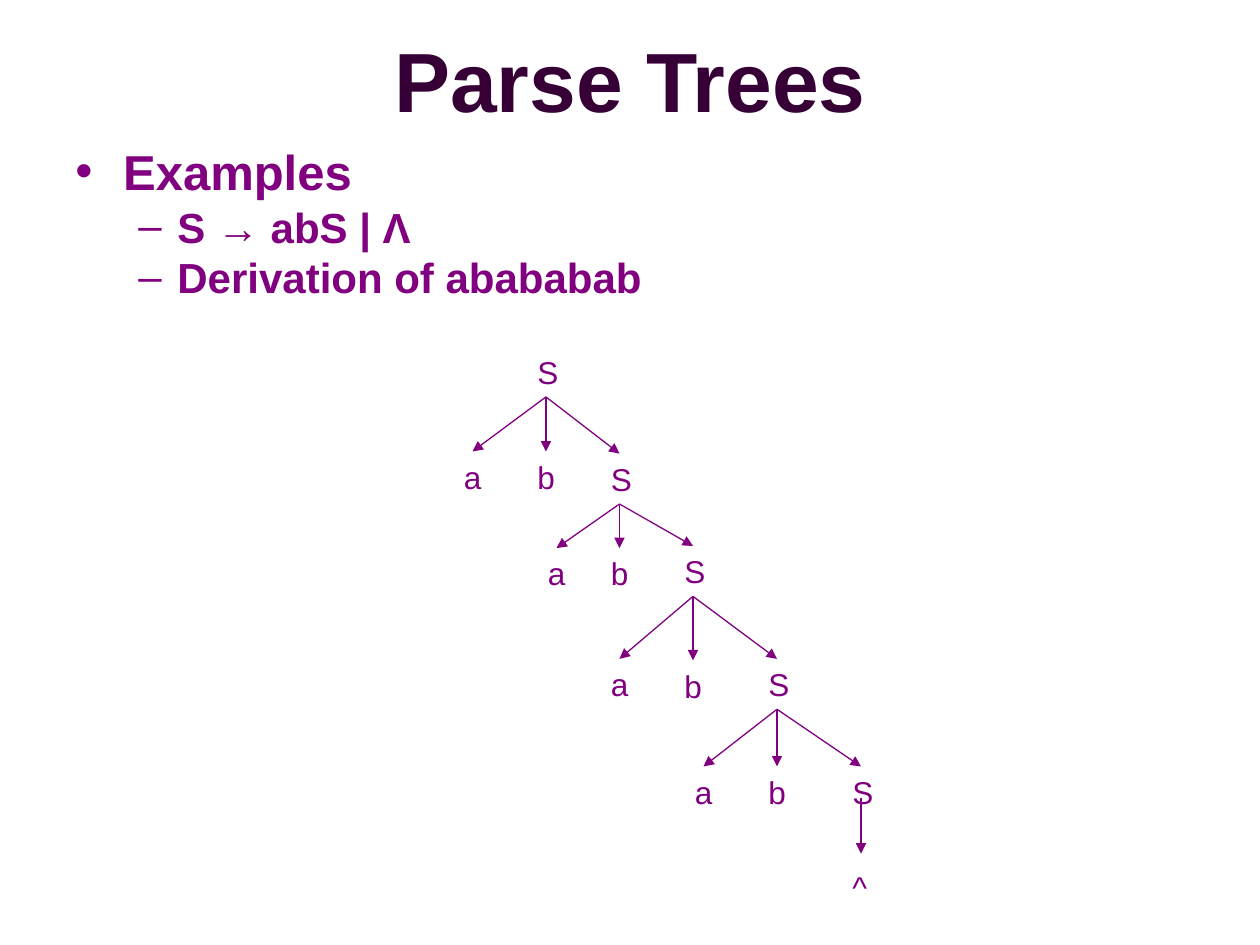
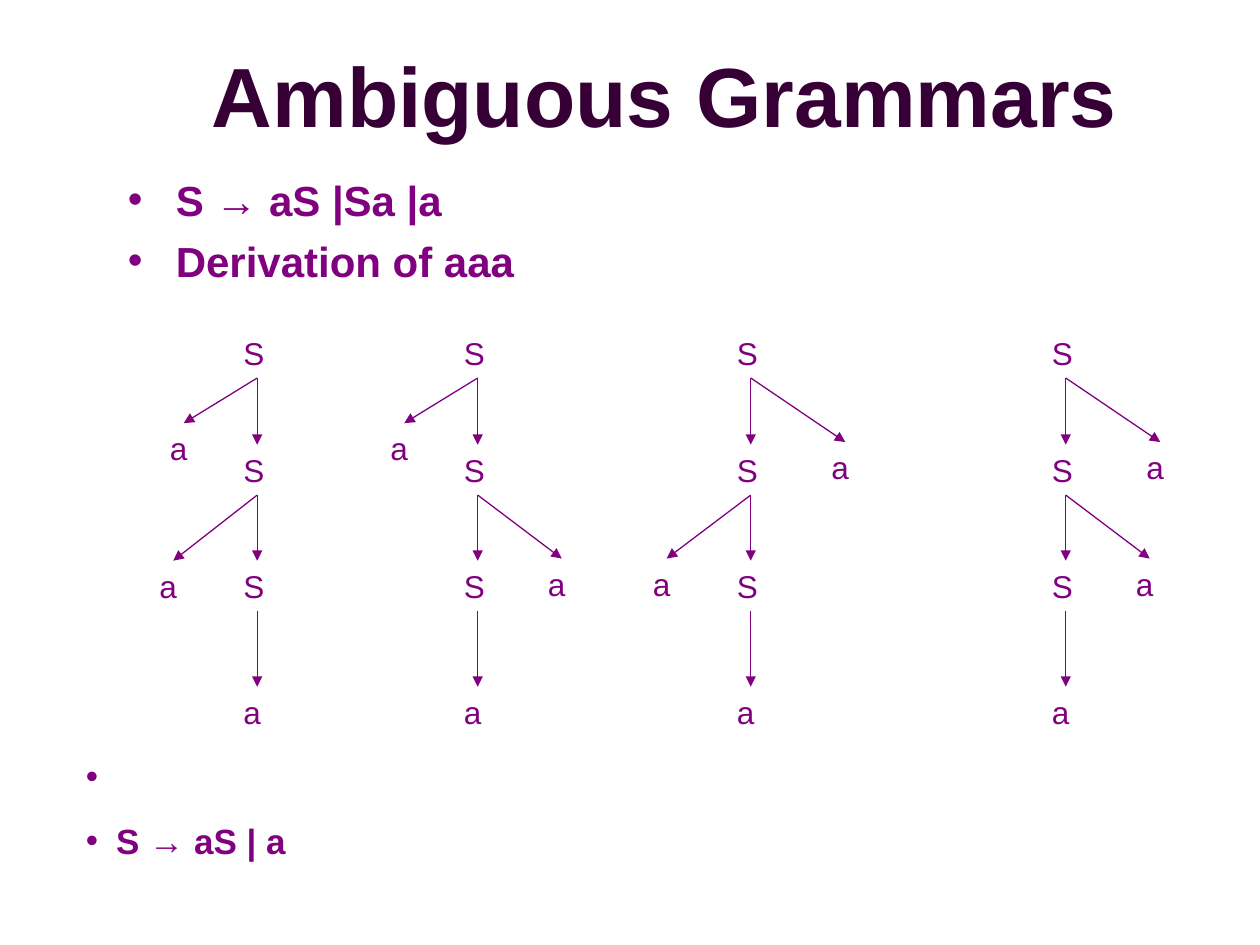
from dataclasses import dataclass

from lxml import etree
from pptx import Presentation
from pptx.dml.color import RGBColor
from pptx.enum.shapes import MSO_CONNECTOR
from pptx.enum.text import MSO_ANCHOR, MSO_AUTO_SIZE, PP_ALIGN
from pptx.oxml.ns import qn
from pptx.util import Inches, Pt

STRAIGHT = MSO_CONNECTOR.STRAIGHT
MIDDLE, TOP = MSO_ANCHOR.MIDDLE, MSO_ANCHOR.TOP
CENTER, LEFT = PP_ALIGN.CENTER, PP_ALIGN.LEFT
NO_FIT = MSO_AUTO_SIZE.NONE
TITLE_ONLY = 5
COLUMNS, ROWS = 120, 90
NODE_HEIGHT = 4.8


@dataclass(frozen=True)
class Theme:
    font: str = "Arial"
    title_color: str = "360036"
    ink: str = "800080"
    title_size: int = 48
    heading_size: int = 28
    body_size: int = 24
    note_size: int = 20
    node_size: int = 18
    edge_width: float = 0.75


@dataclass(frozen=True)
class Bullet:
    text: str
    size: int
    mark: str = "•"
    level: int = 0
    margin: float = 0.38
    hang: float = 0.38
    before: float = 6
    spacing: float = 1.0


@dataclass(frozen=True)
class Node:
    """A tree label; column and row give its top left corner."""
    text: str
    column: float
    row: float
    width: float

    @property
    def middle(self):
        return self.column + self.width / 2

    @property
    def bottom(self):
        return self.row + NODE_HEIGHT


class Page:
    def __init__(self, deck, theme):
        self.deck = deck
        self.theme = theme
        self.slide = deck.slides.add_slide(deck.slide_layouts[TITLE_ONLY])

    def x(self, columns):
        return round(self.deck.slide_width * columns / COLUMNS)

    def y(self, rows):
        return round(self.deck.slide_height * rows / ROWS)

    def area(self, column, row, width, height):
        return self.x(column), self.y(row), self.x(width), self.y(height)

    def span(self, para, text, size, color, bold=False):
        span = para.add_run()
        span.text = text
        span.font.name = self.theme.font
        span.font.size = Pt(size)
        span.font.bold = bold
        span.font.color.rgb = RGBColor.from_string(color)

    def title(self, text, *area):
        box = self.slide.shapes.title
        box.left, box.top, box.width, box.height = self.area(*area)
        frame = box.text_frame
        frame.auto_size = NO_FIT
        frame.vertical_anchor = MIDDLE
        para = frame.paragraphs[0]
        para.alignment = CENTER
        self.span(para, text, self.theme.title_size, self.theme.title_color, True)

    def text_frame(self, *area):
        frame = self.slide.shapes.add_textbox(*self.area(*area)).text_frame
        frame.word_wrap = True
        frame.auto_size = NO_FIT
        frame.vertical_anchor = TOP
        return frame

    def bullets(self, items, *area):
        frame = self.text_frame(*area)
        for index, item in enumerate(items):
            para = frame.add_paragraph() if index else frame.paragraphs[0]
            self.mark(para, item)
            para.level = item.level
            para.alignment = LEFT
            para.line_spacing = item.spacing
            para.space_before = Pt(item.before if index else 0)
            self.span(para, item.text, item.size, self.theme.ink, True)

    def mark(self, para, item):
        properties = para._p.get_or_add_pPr()
        properties.set("marL", str(Inches(item.margin)))
        properties.set("indent", str(-Inches(item.hang)))
        color = etree.SubElement(properties, qn("a:buClr"))
        etree.SubElement(color, qn("a:srgbClr"), val=self.theme.ink)
        etree.SubElement(properties, qn("a:buFont"), typeface=self.theme.font)
        etree.SubElement(properties, qn("a:buChar"), char=item.mark)

    def node(self, text, column, row, width):
        node = Node(text, column, row, width)
        frame = self.text_frame(column, row, width, NODE_HEIGHT)
        self.span(frame.paragraphs[0], text, self.theme.node_size, self.theme.ink)
        return node

    def arrow(self, column, row, end_column, end_row):
        arrow = self.slide.shapes.add_connector(
            STRAIGHT, self.x(column), self.y(row), self.x(end_column), self.y(end_row))
        arrow.line.color.rgb = RGBColor.from_string(self.theme.ink)
        arrow.line.width = Pt(self.theme.edge_width)
        etree.SubElement(arrow.line._get_or_add_ln(), qn("a:tailEnd"), type="triangle")
        etree.SubElement(arrow._element.spPr, qn("a:effectLst"))

    def child(self, parent, text, column, row):
        """Add a node below its parent and the arrow that joins them."""
        child = self.node(text, column, row, parent.width)
        self.arrow(parent.middle, parent.bottom, child.middle, child.row)
        return child


def parse_trees(deck, theme):
    page = Page(deck, theme)
    page.title("Parse Trees", 6, 0, 108, 15)
    dash = {"mark": "–", "level": 1, "margin": 0.81, "hang": 0.31, "spacing": 0.8}
    page.bullets([
        Bullet("Examples", theme.heading_size, spacing=0.8),
        Bullet("S → abS | Λ", theme.body_size, **dash),
        Bullet("Derivation of abababab", theme.body_size, **dash),
    ], 6, 14, 108, 16)

    # Each S yields a, b and the next S: a column, S column, then the three rows
    levels = [
        (43, 57, 43, 43, 43.2),
        (51, 64, 52.2, 52.2, 52),
        (57, 72, 62.75, 62.9, 62.75),
        (65, 80, 73, 73, 73),
    ]
    parent = page.node("S", 50, 33, 4)
    for a_column, s_column, a_row, b_row, s_row in levels:
        page.child(parent, "a", a_column, a_row)
        page.child(parent, "b", parent.column, b_row)
        parent = page.child(parent, "S", s_column, s_row)

    # The last S yields the empty string
    page.arrow(parent.middle, 76, parent.middle, 81.3)
    page.node("^", parent.column, 82.1, parent.width)


def ambiguous_grammars(deck, theme):
    page = Page(deck, theme)
    page.title("Ambiguous Grammars", 14.9, 1.8, 96.8, 14.3)
    page.bullets([
        Bullet("S → aS |Sa |a", theme.body_size),
        Bullet("Derivation of aaa", theme.body_size),
    ], 11, 16, 96.8, 12.1)

    # Four derivations: root column, then the offset and row of each side leaf
    left, right = (-7, 40.3), (9, 42.1)
    trees = [
        (22, left, (-8, 53.4)),
        (43, left, (8, 53.2)),
        (69, right, (-8, 53.2)),
        (99, right, (8, 53.2)),
    ]
    for column, *leaves in trees:
        parent = page.node("S", column, 31.2, 5)
        for (offset, leaf_row), row in zip(leaves, (42.35, 53.4)):
            page.child(parent, "a", column + offset, leaf_row)
            parent = page.child(parent, "S", column, row)
        page.child(parent, "a", column, 65.4)

    # Unambiguous grammar; the first bullet stands alone
    note = {"margin": 0.24, "hang": 0.24, "before": 12.5}
    page.bullets([
        Bullet(" ", theme.note_size, **note),
        Bullet("S → aS | a", theme.note_size, **note),
    ], 7, 71.4, 70, 11.3)


def main():
    deck = Presentation()
    deck.slide_width, deck.slide_height = Inches(10), Inches(7.5)
    theme = Theme()
    parse_trees(deck, theme)
    ambiguous_grammars(deck, theme)
    deck.save("out.pptx")


if __name__ == "__main__":
    main()
